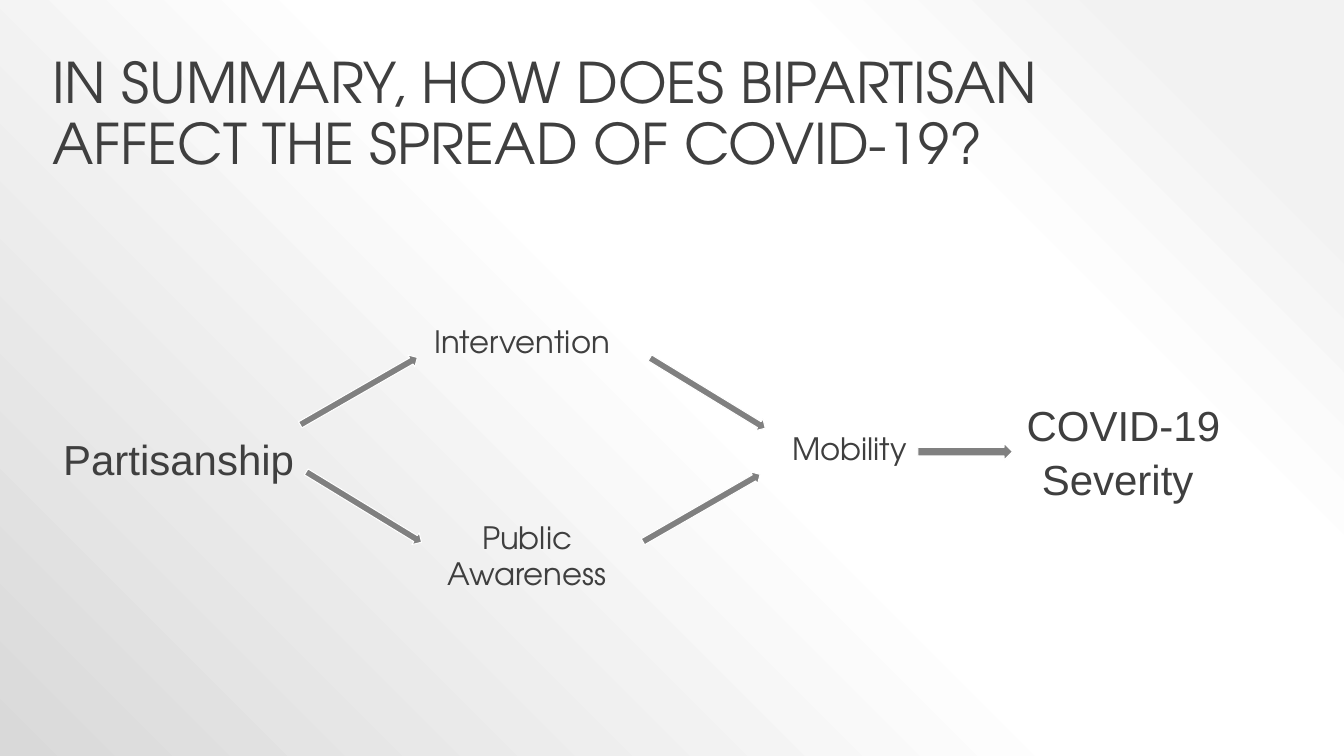
from dataclasses import dataclass

from lxml import etree
from pptx import Presentation
from pptx.dml.color import RGBColor
from pptx.enum.shapes import MSO_SHAPE
from pptx.enum.text import MSO_ANCHOR, MSO_AUTO_SIZE, PP_ALIGN
from pptx.oxml.ns import qn
from pptx.util import Pt

UP_ARROW = MSO_SHAPE.UP_ARROW
TOP, MIDDLE = MSO_ANCHOR.TOP, MSO_ANCHOR.MIDDLE
LEFT, CENTER = PP_ALIGN.LEFT, PP_ALIGN.CENTER
NO_AUTOFIT = MSO_AUTO_SIZE.NONE


@dataclass(frozen=True)
class Theme:
    text: RGBColor = RGBColor(0x3F, 0x3F, 0x3F)
    arrow: RGBColor = RGBColor(0x80, 0x80, 0x80)
    outline: RGBColor = RGBColor(0xFF, 0xFF, 0xFF)
    background: tuple = ((10, "F2F2F2"), (28, "FFFFFF"), (48, "FFFFFF"), (100, "D9D9D9"))
    display_font: str = "TeX Gyre Adventor"
    plain_font: str = "Arial"
    title_size: int = 40
    outcome_size: int = 30
    factor_size: int = 22


theme = Theme()


def write_text(shape, text, font, size, align=LEFT, anchor=TOP, spacing=1.0, inset=7.2):
    frame = shape.text_frame
    frame.word_wrap = True
    frame.auto_size = NO_AUTOFIT
    frame.vertical_anchor = anchor
    frame.margin_left = frame.margin_right = Pt(7.2)
    frame.margin_top = frame.margin_bottom = Pt(inset)
    paragraph = frame.paragraphs[0]
    paragraph.alignment = align
    paragraph.line_spacing = spacing
    run = paragraph.add_run()
    run.text = text
    run.font.name = font
    run.font.size = Pt(size)
    run.font.color.rgb = theme.text


presentation = Presentation()
presentation.slide_width = Pt(960)
presentation.slide_height = Pt(540)
slide = presentation.slides.add_slide(presentation.slide_layouts[5])

slide.background.fill.gradient()
gradient = next(slide.element.iter(qn("a:gradFill")))
for child in list(gradient):
    gradient.remove(child)
stops = etree.SubElement(gradient, qn("a:gsLst"))
for position, color in theme.background:
    stop = etree.SubElement(stops, qn("a:gs"), pos=str(position * 1000))
    etree.SubElement(stop, qn("a:srgbClr"), val=color)
circle = etree.SubElement(gradient, qn("a:path"), {"path": "circle"})
etree.SubElement(circle, qn("a:fillToRect"), l="100000", t="0", r="0", b="100000")

title = slide.shapes.title
title.left, title.top, title.width, title.height = Pt(30), Pt(36), Pt(741), Pt(110)
write_text(title, "IN SUMMARY, HOW DOES BIPARTISAN AFFECT THE SPREAD OF COVID-19?",
           theme.display_font, theme.title_size, spacing=0.9, inset=3.6)

outcome = {"font": theme.plain_font, "size": theme.outcome_size}
factor = {"font": theme.display_font, "size": theme.factor_size}
labels = [
    ("Partisanship", 38, 307, 190, 42, {**outcome, "anchor": MIDDLE, "inset": 0}),
    ("Intervention", 303, 223, 243, 41, factor),
    ("Public Awareness", 278, 363, 197, 86, {**factor, "align": CENTER}),
    ("Mobility", 558.7, 300, 97, 46, factor),
    ("COVID-19 Severity ", 681, 276, 243, 41, {**outcome, "align": CENTER, "spacing": 1.07}),
]
for text, left, top, width, height, style in labels:
    box = slide.shapes.add_textbox(Pt(left), Pt(top), Pt(width), Pt(height))
    write_text(box, text, **style)

RISING, FALLING, LEVEL = 60.1, 121.4, 90
arrows = [
    (256.3, 279.4, 10, 96.5, RISING),
    (259.9, 362.2, 10, 96.5, FALLING),
    (501.1, 362.9, 10, 96.5, RISING),
    (505.4, 280.8, 10, 96.5, FALLING),
    (689.4, 322.6, 12.2, 67.7, LEVEL),
]
for center_x, center_y, width, length, angle in arrows:
    arrow = slide.shapes.add_shape(UP_ARROW, Pt(center_x - width / 2), Pt(center_y - length / 2),
                                   Pt(width), Pt(length))
    arrow.rotation = angle
    arrow.shadow.inherit = False
    arrow.fill.solid()
    arrow.fill.fore_color.rgb = theme.arrow
    arrow.line.color.rgb = theme.outline
    arrow.line.width = Pt(0.75)

presentation.save("out.pptx")
